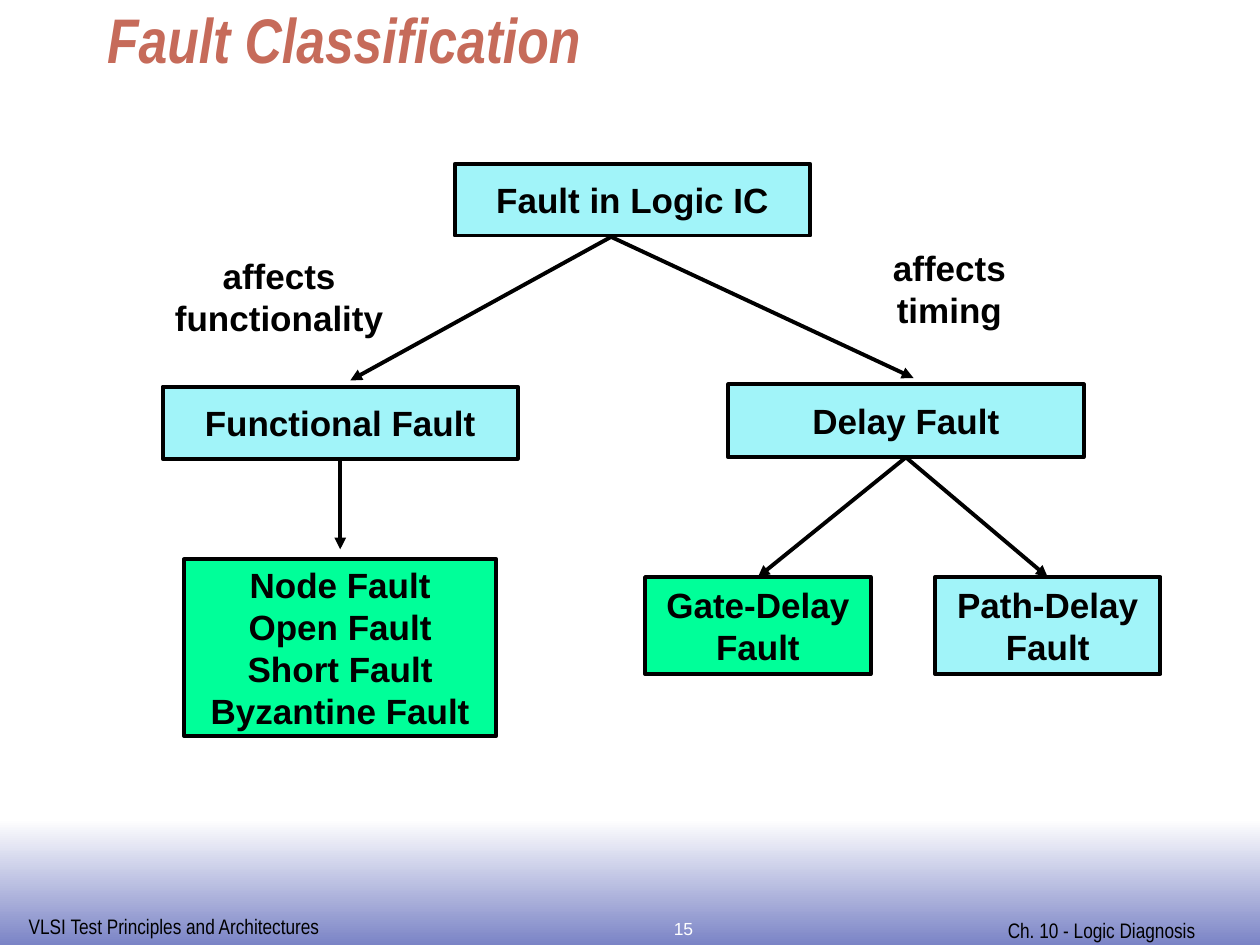
import pptx
import pptx.util
import pptx.dml.color
import pptx.enum.shapes
import pptx.enum.text
import pptx.oxml.ns
import lxml.etree

COLS, ROWS = 100, 75
WIDE, HIGH = pptx.util.Inches(10), pptx.util.Inches(7.5)
HUES = {"ink": "000000", "sky": "A1F4F9", "mint": "00FF99", "rust": "C66B5A",
        "white": "FFFFFF", "dusk": "7B84C6"}
ANCHOR = pptx.enum.text.MSO_ANCHOR
ALIGN = pptx.enum.text.PP_ALIGN
BOLD = {"name": "Arial", "size": pptx.util.Pt(20), "bold": True}
HEAD = {"name": "Arial Narrow", "size": pptx.util.Pt(36), "bold": True, "italic": True}
FOOT = {"name": "Arial Narrow", "size": pptx.util.Pt(12), "bold": False}
PAGE = {"name": "Arial", "size": pptx.util.Pt(10), "bold": False}


def hue(name):
    return pptx.dml.color.RGBColor.from_string(HUES[name])


def spot(col, row):
    return round(WIDE * col / COLS), round(HIGH * row / ROWS)


def area(col, row, cols, rows):
    return spot(col, row) + spot(cols, rows)


def style(item, values):
    for key, value in values.items():
        setattr(item, key, value)


def write(shape, text, font, tone="ink", align=ALIGN.CENTER, anchor=ANCHOR.MIDDLE, wrap=False):
    frame = shape.text_frame
    frame.text = text
    style(frame, {"word_wrap": wrap, "vertical_anchor": anchor})
    if not wrap:
        style(frame, {"margin_left": 0, "margin_right": 0})
    for para in frame.paragraphs:
        para.alignment = align
        style(para.font, font)
        para.font.color.rgb = hue(tone)


def block(slide, place):
    kind = pptx.enum.shapes.MSO_SHAPE.RECTANGLE
    shape = slide.shapes.add_shape(kind, *area(*place))
    shape.shadow.inherit = False
    return shape


def stroke(line):
    line.color.rgb = hue("ink")
    line.width = pptx.util.Pt(2.25)


def node(slide, text, place, tone="sky"):
    shape = block(slide, place)
    shape.fill.solid()
    shape.fill.fore_color.rgb = hue(tone)
    stroke(shape.line)
    write(shape, text, BOLD)
    return shape


def label(slide, text, place, font=BOLD, **look):
    write(slide.shapes.add_textbox(*area(*place)), text, font, **look)


def arrow(slide, start, end, source=None, target=None):
    kind = pptx.enum.shapes.MSO_CONNECTOR.STRAIGHT
    link = slide.shapes.add_connector(kind, *spot(*start), *spot(*end))
    if source:
        link.begin_connect(source, 2)
    if target:
        link.end_connect(target, 0)
    stroke(link.line)
    tag = pptx.oxml.ns.qn
    lxml.etree.SubElement(link.line._get_or_add_ln(), tag("a:tailEnd"), type="triangle")
    lxml.etree.SubElement(link._element.spPr, tag("a:effectLst"))


def footer(slide):
    band = block(slide, (0, 65, COLS, 10))
    band.line.fill.background()
    band.fill.gradient()
    band.fill.gradient_angle = 270
    for stop, tone in zip(band.fill.gradient_stops, ("white", "dusk")):
        stop.color.rgb = hue(tone)
    side = {"font": FOOT, "align": ALIGN.LEFT, "anchor": ANCHOR.TOP, "wrap": True}
    label(slide, "VLSI Test Principles and Architectures", (1.3, 72, 25.3, 3), **side)
    label(slide, "Ch. 10 - Logic Diagnosis", (79, 72.3, 19.6, 3), **side)
    label(slide, "15", (42.6, 70.6, 23.3, 4.4), PAGE, tone="white",
          anchor=ANCHOR.BOTTOM, wrap=True)


def title(slide, text):
    head = slide.shapes.title
    style(head, dict(zip(("left", "top", "width", "height"), area(7.5, 2.5, 85, 10))))
    write(head, text, HEAD, "rust", ALIGN.LEFT, ANCHOR.BOTTOM, True)
    style(head.text_frame, {"margin_top": 0, "margin_bottom": spot(0, 6.5)[1],
                            "auto_size": pptx.enum.text.MSO_AUTO_SIZE.NONE})
    head.text_frame.paragraphs[0].line_spacing = 0.8


def tree(slide):
    node(slide, "Fault in Logic IC", (36.1, 13, 28.2, 5.7))
    func = node(slide, "Functional Fault", (12.9, 30.7, 28.2, 5.7))
    delay = node(slide, "Delay Fault", (57.8, 30.5, 28.2, 5.8))
    node(slide, "Node Fault\nOpen Fault\nShort Fault\nByzantine Fault",
         (14.6, 44.4, 24.8, 14), "mint")
    gate = node(slide, "Gate-Delay\nFault", (51.2, 45.8, 17.9, 7.7), "mint")
    late = node(slide, "Path-Delay\nFault", (74.2, 45.8, 17.9, 7.7))
    fork = (48.5, 18.8)
    arrow(slide, fork, (27.8, 30.2))
    arrow(slide, fork, (72.5, 30))
    arrow(slide, (27, 36.4), (27, 43.6), func)
    arrow(slide, (71.9, 36.3), (60.1, 45.8), delay, gate)
    arrow(slide, (71.9, 36.3), (83.1, 45.8), delay, late)
    label(slide, "affects\nfunctionality", (12.9, 19.7, 18.5, 7.7), anchor=ANCHOR.TOP)
    label(slide, "affects\ntiming", (69.9, 19.1, 10.9, 7.7), anchor=ANCHOR.TOP)


def main():
    deck = pptx.Presentation()
    style(deck, {"slide_width": WIDE, "slide_height": HIGH})
    slide = deck.slides.add_slide(deck.slide_layouts[5])
    footer(slide)
    title(slide, "Fault Classification")
    tree(slide)
    deck.save("out.pptx")


if __name__ == "__main__":
    main()
